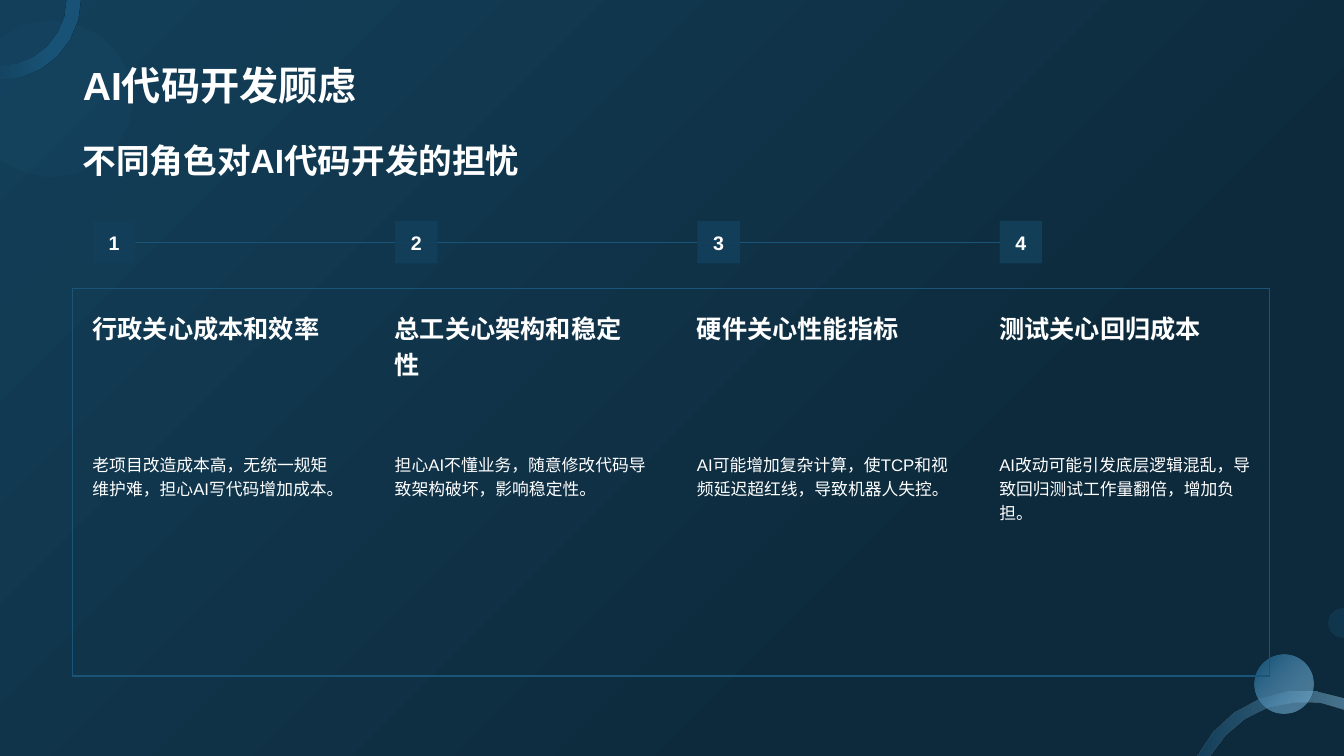
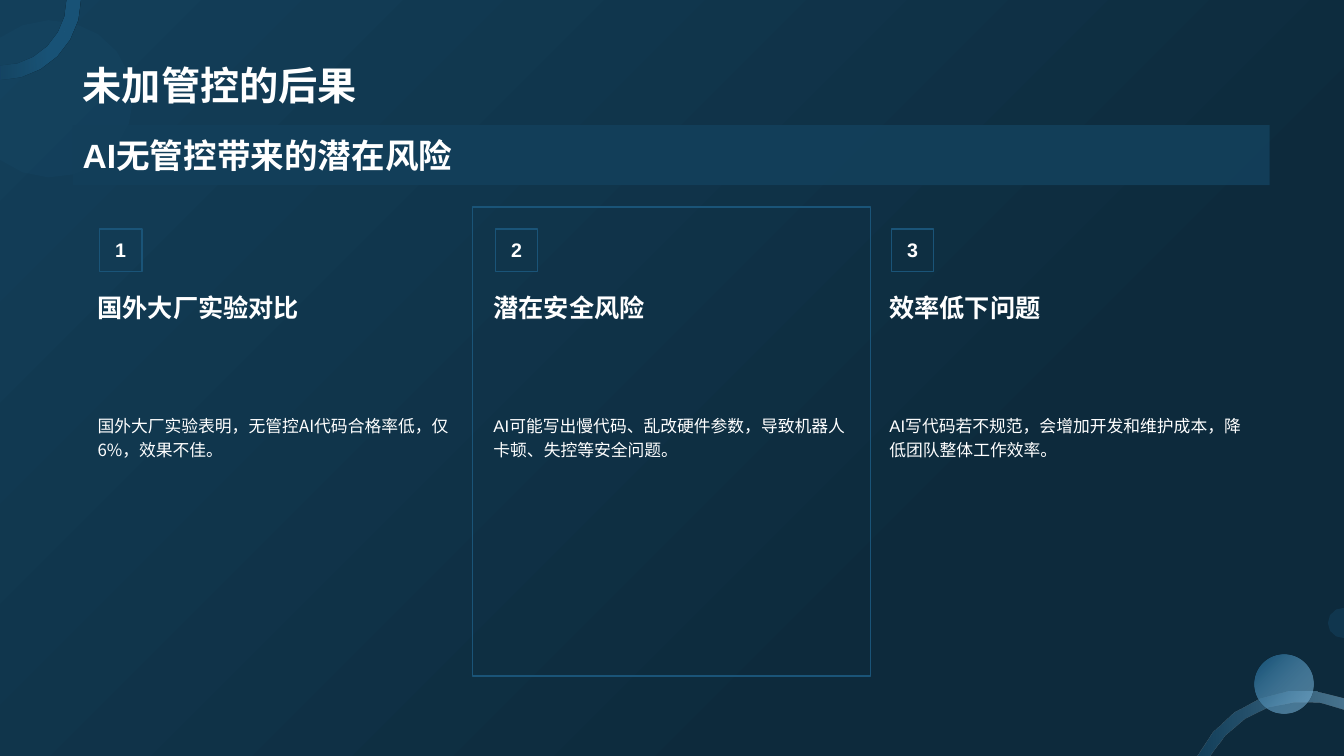
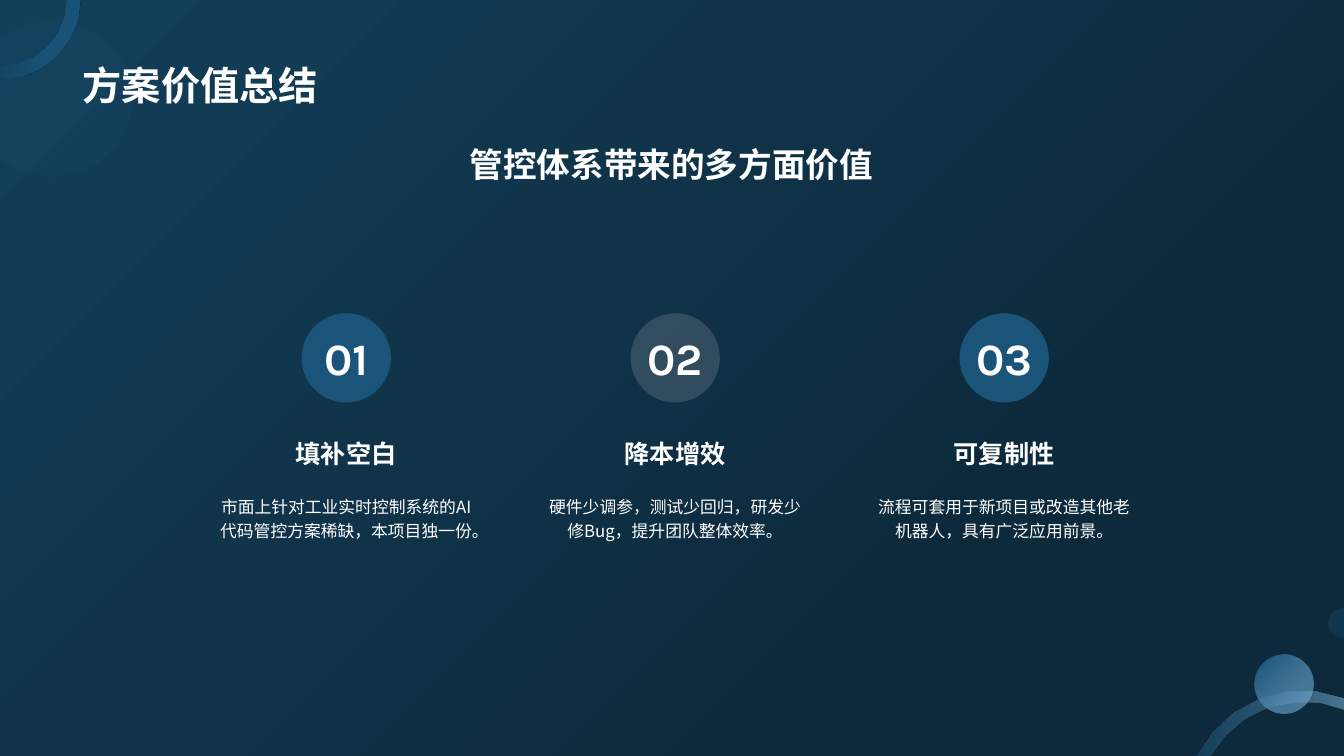
import math

import pptx
import pptx.util
import pptx.dml.color
import pptx.enum.shapes
import pptx.enum.text
import pptx.oxml.ns
from lxml import etree

Pt = pptx.util.Pt
RGB = pptx.dml.color.RGBColor
SHAPE = pptx.enum.shapes.MSO_SHAPE
ANCHOR = pptx.enum.text.MSO_ANCHOR
ALIGN = pptx.enum.text.PP_ALIGN
qn = pptx.oxml.ns.qn

# Content: heading, body and the Latin font of the body
CONCERNS = {
    "title": "AI代码开发顾虑",
    "subtitle": "不同角色对AI代码开发的担忧",
    "items": [
        ("行政关心成本和效率", "老项目改造成本高，无统一规矩维护难，担心AI写代码增加成本。", "Arial"),
        ("总工关心架构和稳定性", "担心AI不懂业务，随意修改代码导致架构破坏，影响稳定性。", "Arial"),
        ("硬件关心性能指标", "AI可能增加复杂计算，使TCP和视频延迟超红线，导致机器人失控。", "Arial"),
        ("测试关心回归成本", "AI改动可能引发底层逻辑混乱，导致回归测试工作量翻倍，增加负担。", "Arial"),
    ],
}
RISKS = {
    "title": "未加管控的后果",
    "subtitle": "AI无管控带来的潜在风险",
    "items": [
        ("国外大厂实验对比", "国外大厂实验表明，无管控AI代码合格率低，仅6%，效果不佳。", "Noto Sans CJK SC"),
        ("潜在安全风险", "AI可能写出慢代码、乱改硬件参数，导致机器人卡顿、失控等安全问题。", "Arial"),
        ("效率低下问题", "AI写代码若不规范，会增加开发和维护成本，降低团队整体工作效率。", "Arial"),
    ],
}
VALUES = {
    "title": "方案价值总结",
    "subtitle": "管控体系带来的多方面价值",
    "items": [
        ("填补空白", "市面上针对工业实时控制系统的AI代码管控方案稀缺，本项目独一份。", "Noto Sans CJK SC"),
        ("降本增效", "硬件少调参，测试少回归，研发少修Bug，提升团队整体效率。", "Noto Sans CJK SC"),
        ("可复制性", "流程可套用于新项目或改造其他老机器人，具有广泛应用前景。", "Noto Sans CJK SC"),
    ],
}

# Shared style
NAVY = RGB(0x13, 0x3F, 0x5A)
NIGHT = RGB(0x0D, 0x2A, 0x3C)
BLUE = RGB(0x1A, 0x54, 0x78)
SKY = RGB(0x87, 0xC1, 0xE5)
MIST = RGB(0xF0, 0xF0, 0xF0)
WHITE = RGB(0xFF, 0xFF, 0xFF)
CJK = "Noto Sans CJK SC"
WIDTH, HEIGHT = 960, 540
MARGIN = 52
CONTENT_W = 855
CONTENT_BOTTOM = 483
SUBTITLE_TOP = 89.3
NUMBER_SIZE = 30.4


def points(*lengths):
    return [Pt(length) for length in lengths]


def gradient(fill, stops, angle):
    """Two-stop gradient; the angle runs clockwise."""
    fill.gradient()
    fill.gradient_angle = 360 - angle
    for stop, (position, color) in zip(fill.gradient_stops, stops):
        stop.position = position
        stop.color.rgb = color


def set_alphas(shape, *percents):
    colors = shape.element.spPr.iter(qn("a:srgbClr"))
    for color, percent in zip(list(colors), percents):
        etree.SubElement(color, qn("a:alpha"), val=str(percent * 1000))


def write(shape, text, size, bold=True, latin="Arial", align=ALIGN.LEFT,
          anchor=ANCHOR.TOP, spacing=None, inset=None, wrap=True):
    frame = shape.text_frame
    frame.text = text
    frame.word_wrap = wrap
    frame.auto_size = pptx.enum.text.MSO_AUTO_SIZE.NONE
    frame.vertical_anchor = anchor
    if inset is not None:
        frame.margin_left = frame.margin_right = Pt(inset)
        frame.margin_top = frame.margin_bottom = Pt(inset)
    paragraph = frame.paragraphs[0]
    paragraph.alignment = align
    if spacing:
        paragraph.line_spacing = spacing
    font = paragraph.runs[0].font
    font.size, font.bold, font.name = Pt(size), bold, latin
    font.color.rgb = WHITE
    for properties in shape.element.iter(qn("a:rPr")):
        etree.SubElement(properties, qn("a:ea"), typeface=CJK)


def add_text(slide, box, text, size, **style):
    write(slide.shapes.add_textbox(*points(*box)), text, size, **style)


def add_block(slide, kind, box, fill=None, alpha=100, outline=None, corner=None):
    block = slide.shapes.add_shape(kind, *points(*box))
    block.shadow.inherit = False
    if corner is not None:
        block.adjustments[0] = corner
    if fill is None:
        block.fill.background()
    else:
        block.fill.solid()
        block.fill.fore_color.rgb = fill
        if alpha < 100:
            set_alphas(block, alpha)
    if outline is None:
        block.line.fill.background()
    else:
        block.line.color.rgb = outline
        block.line.width = Pt(1)
    return block


def add_number(slide, left, top, number, **style):
    block = add_block(slide, SHAPE.RECTANGLE,
                      (left, top, NUMBER_SIZE, NUMBER_SIZE), **style)
    write(block, str(number), 14, align=ALIGN.CENTER, anchor=ANCHOR.MIDDLE, wrap=False)
    return block


# Master: background and corner ornaments
def arc(center_x, center_y, radius_x, radius_y, start, end, steps=6):
    """Points on an ellipse, held inside the slide."""
    angles = [math.radians(start + (end - start) * i / steps) for i in range(steps + 1)]
    return [(min(max(center_x + radius_x * math.cos(a), 0), WIDTH),
             min(max(center_y + radius_y * math.sin(a), 0), HEIGHT)) for a in angles]


def add_outline(slide, outline):
    start, *rest = [tuple(points(*point)) for point in outline]
    builder = slide.shapes.build_freeform(*start, scale=1.0)
    builder.add_line_segments(rest, close=True)
    ornament = builder.convert_to_shape()
    ornament.shadow.inherit = False
    ornament.line.fill.background()
    ornament.fill.solid()
    ornament.fill.fore_color.rgb = BLUE
    return ornament


def decorate_master(master, slide):
    """Draw the ornaments on a slide, then hand them to the master."""
    gradient(master.background.fill, [(0, NAVY), (0.72, NIGHT)], 45)

    halo = add_outline(slide, arc(36.7, 70.6, 58.4, 56.2, -129, 129, steps=14))
    set_alphas(halo, 15)

    corner_ring = add_outline(slide, arc(0.5, 0, 57.1, 57.1, 0, 90)
                              + arc(0.5, 0, 47, 47, 90, 0))
    gradient(corner_ring.fill, [(0.39, BLUE), (1, BLUE)], 180)
    set_alphas(corner_ring, 100, 15)

    bottom_ring = add_outline(slide, arc(930.2, 576.7, 83.5, 83.5, 206.1, 291)
                              + arc(930.2, 576.7, 75.6, 75.6, 293.2, 209))
    gradient(bottom_ring.fill, [(0, SKY), (1, BLUE)], 180)
    set_alphas(bottom_ring, 49, 50)

    edge_dot = add_outline(slide, arc(959.3, 445, 10.8, 10.8, 86, 274))
    set_alphas(edge_dot, 30)

    ball = add_block(slide, SHAPE.OVAL, (895.9, 467.5, 42, 42))
    gradient(ball.fill, [(0.01, SKY), (0.91, BLUE)], 225)
    set_alphas(ball, 50, 100)

    ornaments = [halo, corner_ring, bottom_ring, edge_dot, ball]
    for number, ornament in enumerate(ornaments, 101):
        ornament.element.nvSpPr.cNvPr.id = number
        master.shapes.element.append(ornament.element)


def add_slide(deck, title):
    slide = deck.slides.add_slide(deck.slide_layouts.get_by_name("Title Only"))
    heading = slide.shapes.title
    heading.left, heading.top, heading.width, heading.height = points(
        MARGIN, 10.4, CONTENT_W, 70.8)
    write(heading, title, 28, anchor=ANCHOR.BOTTOM)
    return slide


# Slides
def build_concerns(slide):
    step, number_top = 215.9, 157.8
    timeline = slide.shapes.add_connector(
        pptx.enum.shapes.MSO_CONNECTOR.STRAIGHT, *points(97, 173, 714, 173))
    timeline.line.color.rgb = BLUE
    timeline.line.width = Pt(0.5)
    etree.SubElement(timeline.element.spPr, qn("a:effectLst"))

    add_block(slide, SHAPE.ROUNDED_RECTANGLE,
              (MARGIN, 206, CONTENT_W, CONTENT_BOTTOM - 206), outline=BLUE, corner=0)
    add_text(slide, (MARGIN, 88.9, CONTENT_W, 51), CONCERNS["subtitle"], 24,
             anchor=ANCHOR.MIDDLE)
    numbers = []
    for i, (heading, body, latin) in enumerate(CONCERNS["items"]):
        left = 59 + i * step
        numbers.append(add_number(slide, left + 7.3, number_top, i + 1,
                                  fill=NAVY, alpha=95))
        add_text(slide, (left, 216, 194, 103), heading, 18, spacing=1.2)
        add_text(slide, (left, 318.5, 194, 158), body, 12, bold=False,
                 latin=latin, spacing=1.2)
    timeline.begin_connect(numbers[0], 3)
    timeline.end_connect(numbers[-1], 1)


def build_risks(slide):
    step = 282.8
    add_block(slide, SHAPE.ROUNDED_RECTANGLE,
              (337.7, 148, 284, CONTENT_BOTTOM - 148), outline=BLUE, corner=0)
    banner = add_block(slide, SHAPE.RECTANGLE,
                       (MARGIN, SUBTITLE_TOP, CONTENT_W, 43), fill=NAVY, alpha=95)
    write(banner, RISKS["subtitle"], 24, anchor=ANCHOR.MIDDLE)
    for i, (heading, body, latin) in enumerate(RISKS["items"]):
        left = 62.6 + i * step
        add_number(slide, left + 8.4, 163.5, i + 1, outline=BLUE)
        add_text(slide, (left, 201, 268.5, 90), heading, 18, spacing=1.2)
        add_text(slide, (left, 290.7, 268.5, 192), body, 12, bold=False,
                 latin=latin, spacing=1.2)


def build_values(slide):
    step, column_w, badge = 235, 199, 63.8
    badge_fills = [(BLUE, 100), (MIST, 15), (BLUE, 100)]
    for i, (heading, body, latin) in enumerate(VALUES["items"]):
        left = 147.8 + i * step
        fill, alpha = badge_fills[i]
        circle = add_block(slide, SHAPE.ROUNDED_RECTANGLE,
                           (left + (column_w - badge) / 2, 223.7, badge, badge),
                           fill=fill, alpha=alpha, corner=0.5)
        write(circle, f"{i + 1:02d}", 32, latin="Karla", align=ALIGN.CENTER,
              anchor=ANCHOR.MIDDLE, wrap=False)
        add_text(slide, (left, 306, column_w, 37.4), heading, 18, align=ALIGN.CENTER,
                 anchor=ANCHOR.BOTTOM, inset=8.4)
        add_text(slide, (left, 343.6, column_w, 77), body, 12, bold=False, latin=latin,
                 align=ALIGN.CENTER, spacing=1.2, inset=8.4)
    add_text(slide, (MARGIN, 99.4, CONTENT_W, 55), VALUES["subtitle"], 24,
             align=ALIGN.CENTER)


def main():
    deck = pptx.Presentation()
    deck.slide_width, deck.slide_height = points(WIDTH, HEIGHT)
    pages = [(CONCERNS, build_concerns), (RISKS, build_risks), (VALUES, build_values)]
    for i, (content, build) in enumerate(pages):
        slide = add_slide(deck, content["title"])
        if i == 0:
            decorate_master(deck.slide_master, slide)
        build(slide)
    deck.save("out.pptx")


if __name__ == "__main__":
    main()
